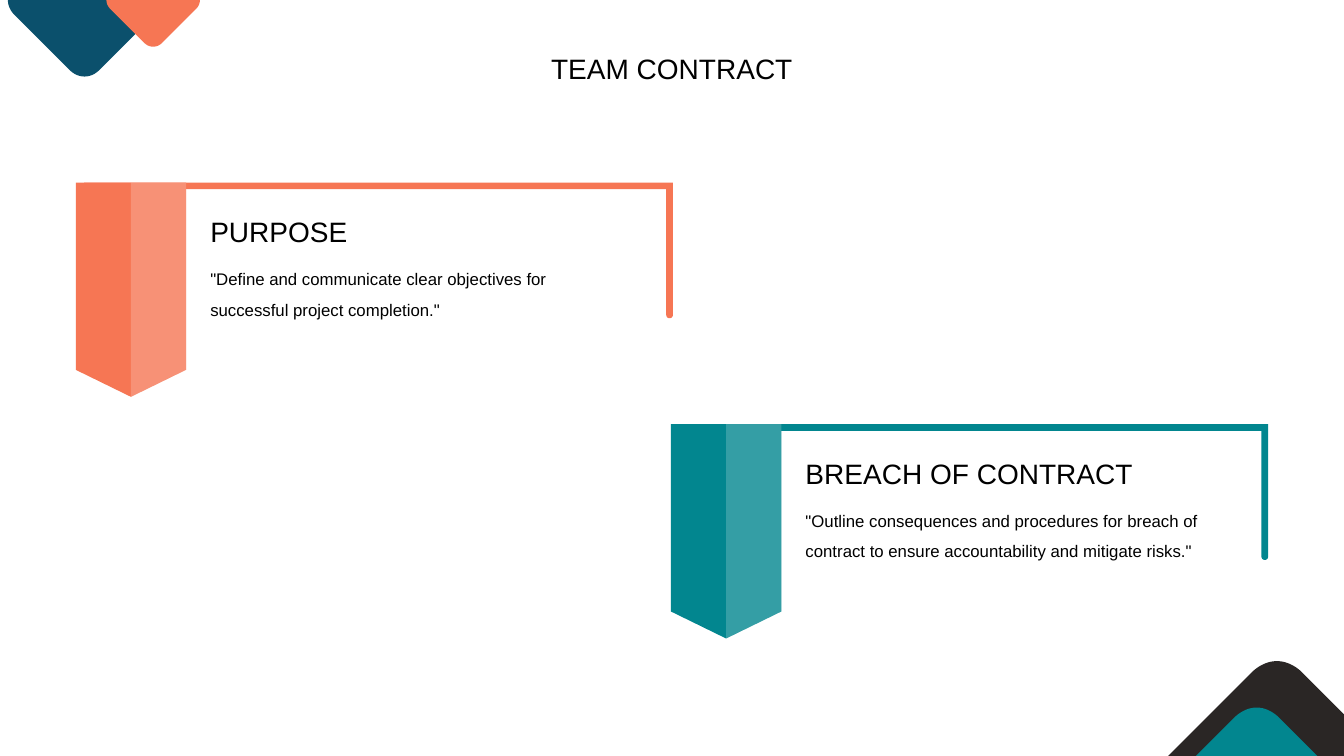
from lxml.etree import SubElement
from pptx import Presentation
from pptx.dml.color import RGBColor
from pptx.enum.text import MSO_ANCHOR, MSO_AUTO_SIZE, PP_ALIGN
from pptx.oxml.ns import qn
from pptx.util import Cm, Pt

WIDE, HIGH = 33.87, 19.05
HUES = {
    "navy": "0B506C",
    "coral": "F67654",
    "teal": "02868F",
    "dark": "2A2625",
    "white": "FFFFFF",
    "black": "000000",
}
CARDS = [
    (1.91, 4.6, "coral", "PURPOSE", 6.38,
     '"Define and communicate clear objectives for successful project completion."'),
    (16.91, 10.69, "teal", "BREACH OF CONTRACT", 9.4,
     '"Outline consequences and procedures for breach of contract to ensure '
     'accountability and mitigate risks."'),
]


def tone(name):
    return RGBColor.from_string(HUES[name])


def curve(a, b, c, d, steps=12):
    pts = []
    for i in range(steps + 1):
        t = i / steps
        u = 1 - t
        pts.append(tuple(
            u**3 * p + 3 * u * u * t * q + 3 * u * t * t * r + t**3 * s
            for p, q, r, s in zip(a, b, c, d)))
    return pts


def outline(slide, pts, hue, x=0, y=0, scale=1, alpha=None):
    spots = [(Cm(x + scale * px), Cm(y + scale * py)) for px, py in pts]
    form = slide.shapes.build_freeform(*spots[0])
    form.add_line_segments(spots[1:], close=True)
    shape = form.convert_to_shape()
    shape.shadow.inherit = False
    shape.fill.solid()
    shape.fill.fore_color.rgb = tone(hue)
    shape.line.fill.background()
    if alpha is not None:
        color = shape.fill._xPr.find(qn("a:solidFill"))[0]
        SubElement(color, qn("a:alpha")).set("val", str(alpha * 1000))


def drop(slide, x, scale, hue):
    side = curve((1.93, 0), (1.93, 0.13), (1.88, 0.25), (1.78, 0.36))
    tip = curve((0.36, 1.78), (0.15, 1.98), (-0.15, 1.98), (-0.36, 1.78))
    left = [(-px, py) for px, py in reversed(side)]
    outline(slide, side + tip + left, hue, x, 0, scale)


def peak(slide, x, y, scale, hue):
    arc = curve((0, 0), (0.22, 0), (0.43, 0.1), (0.6, 0.25))
    base = (HIGH - y) / scale
    foot = base + 0.35
    edge = min(foot, (WIDE - x) / scale)
    right = [(edge, edge - 0.35), (edge, base)]
    left = [(-px, py) for px, py in reversed(arc)]
    outline(slide, arc + right + [(-foot, base)] + left, hue, x, y, scale)


def style(shape, size, align=PP_ALIGN.LEFT, space=1.0):
    frame = shape.text_frame
    frame.word_wrap = True
    frame.auto_size = MSO_AUTO_SIZE.NONE
    frame.vertical_anchor = MSO_ANCHOR.TOP
    for para in frame.paragraphs:
        para.alignment = align
        para.line_spacing = space
        for run in para.runs:
            run.font.name = "Arial"
            run.font.size = Pt(size)
            run.font.color.rgb = tone("black")


def label(slide, text, x, y, w, h, size, space=1.0):
    box = slide.shapes.add_textbox(Cm(x), Cm(y), Cm(w), Cm(h))
    box.text_frame.text = text
    style(box, size, space=space)


def title(slide, text):
    shape = slide.shapes.title
    shape.left, shape.top = Cm(12.22), Cm(1.17)
    shape.width, shape.height = Cm(9.42), Cm(1.12)
    shape.text_frame.text = text
    style(shape, 20, PP_ALIGN.CENTER)


def card(slide, x, y, hue, head, wide, body):
    end = curve((15.05, 3.33), (15.05, 3.45), (14.88, 3.45), (14.88, 3.33))
    rail = [(0.21, 0), (15.05, 0)] + end + [(14.88, 0.17), (0.21, 0.17)]
    fold = [(2.78, 0), (2.78, 4.72), (1.39, 5.4), (1.39, 0)]
    flag = fold[:3] + [(0, 4.72), (0, 0)]
    outline(slide, rail, hue, x, y)
    outline(slide, flag, hue, x, y)
    outline(slide, fold, "white", x, y, alpha=20)
    label(slide, body, x + 3.14, y + 1.8, 10.97, 1.8, 12, 1.5)
    label(slide, head, x + 3.14, y + 0.69, wide, 1.12, 20)


def main():
    deck = Presentation()
    deck.slide_width, deck.slide_height = Cm(WIDE), Cm(HIGH)
    slide = deck.slides.add_slide(deck.slide_layouts[5])
    drop(slide, 2.13, 1, "navy")
    drop(slide, 3.86, 0.61, "coral")
    peak(slide, 32.18, 16.66, 1, "dark")
    peak(slide, 31.67, 17.83, 0.88, "teal")
    title(slide, "TEAM CONTRACT")
    for item in CARDS:
        card(slide, *item)
    deck.save("out.pptx")


if __name__ == "__main__":
    main()
